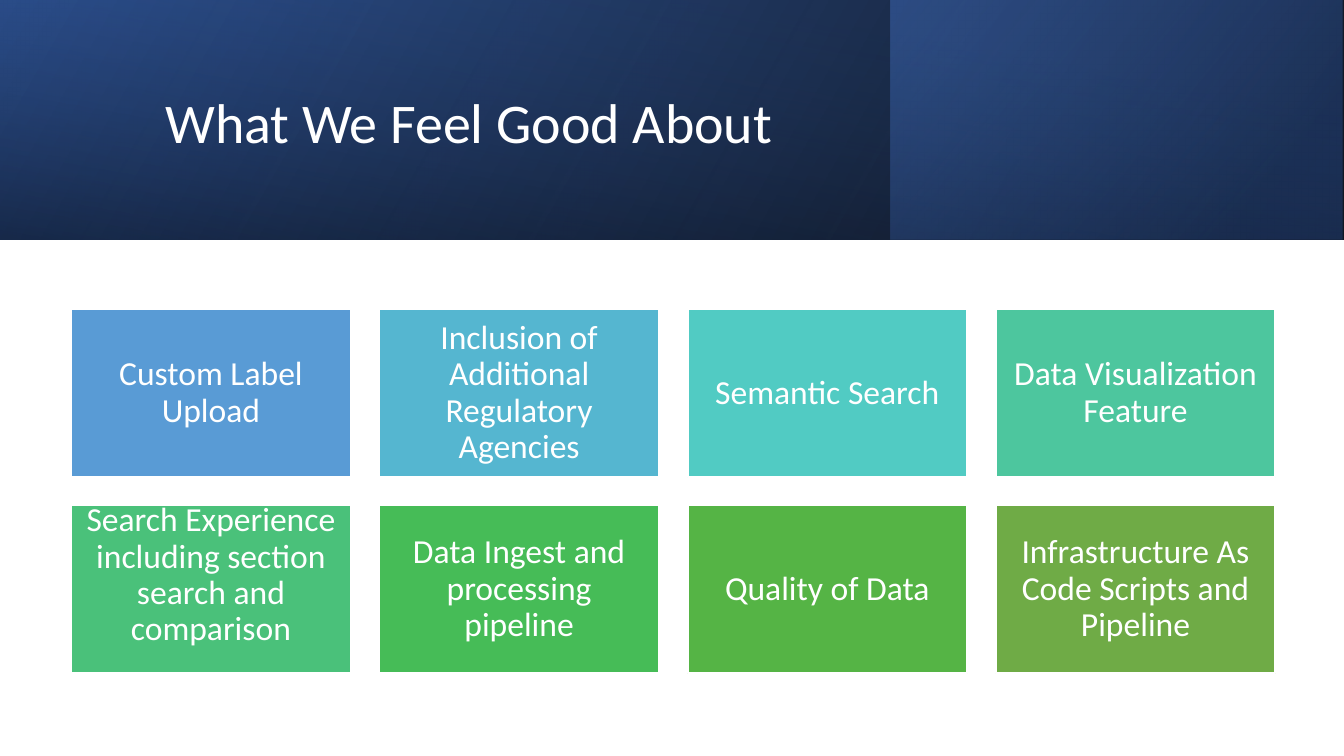
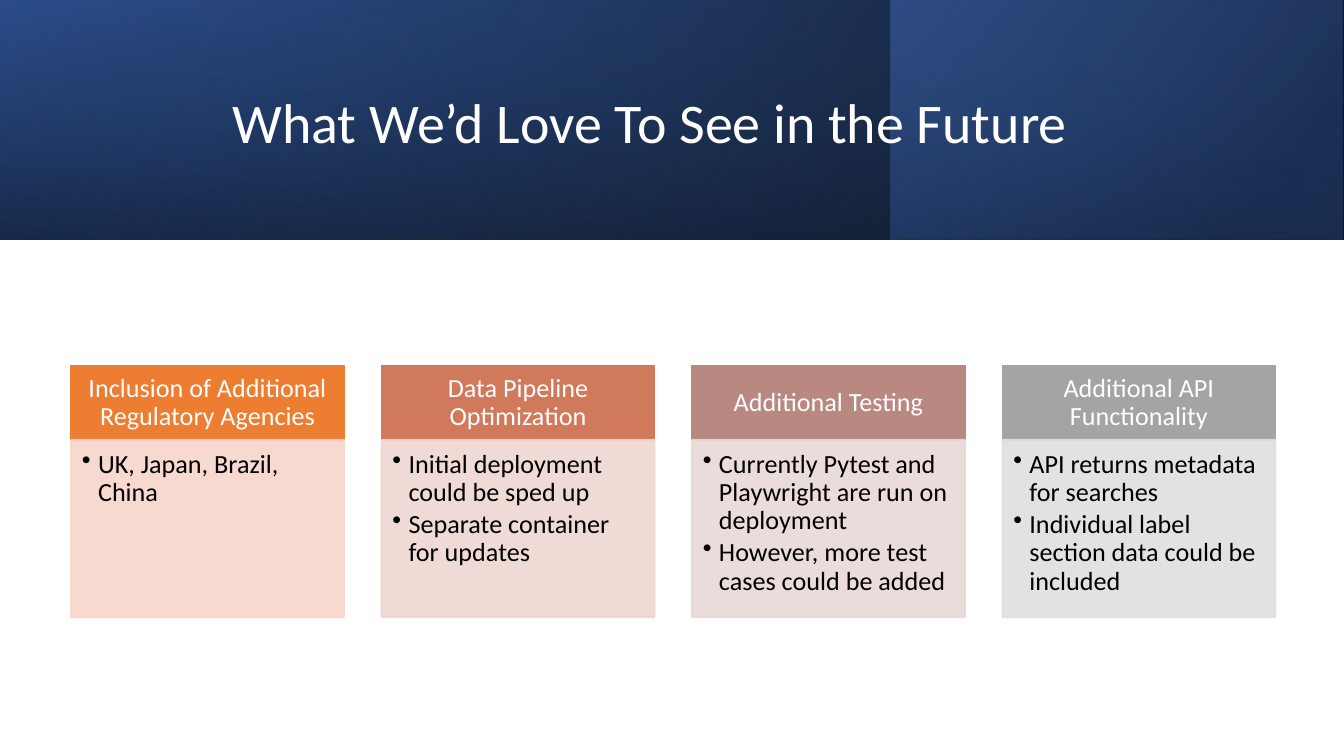
from lxml import etree
from pptx import Presentation
from pptx import util as u
from pptx.dml.color import RGBColor
from pptx.enum import shapes, text
from pptx.oxml import parse_xml
from pptx.oxml.ns import nsdecls, qn

HUES = {
    "white": "FFFFFF", "black": "000000", "blue": "2F5496",
    "navy": "1F3864", "sky": "4472C4",
}
BANDS = [
    ((0, 0, 100, 31.64), 0, 330, [(0, "black", 96), (100, "blue", 100)]),
    ((66.3, 0, 33.6, 31.64), 0, 320,
     [(0, "navy", 68), (19, "navy", 68), (100, "sky", 48)]),
    ((41.1, -73.07, 17.8, 177.78), 270, 350,
     [(0, "blue", 16), (23, "blue", 16), (99, "black", 45), (100, "black", 45)]),
]
TILES = [
    ("Custom Label Upload", "599BD5"),
    ("Inclusion of Additional Regulatory Agencies", "55B6D0"),
    ("Semantic Search", "51CBC3"),
    ("Data Visualization Feature", "4DC69E"),
    ("Search Experience including section search and comparison", "4AC17A"),
    ("Data Ingest and processing pipeline", "46BC57"),
    ("Quality of Data", "55B445"),
    ("Infrastructure As Code Scripts and Pipeline", "6FAB46"),
]
CARDS = [
    ("Inclusion of Additional Regulatory Agencies", "ED7D31", "F7D5CB",
     ["UK, Japan, Brazil, China"]),
    ("Data Pipeline Optimization", "D07A5B", "EFD6D1",
     ["Initial deployment could be sped up", "Separate container for updates"]),
    ("Additional Testing", "B88881", "E8D9D7",
     ["Currently Pytest and Playwright are run on deployment",
      "However, more test cases could be added"]),
    ("Additional API Functionality", "A4A4A4", "DFDFDF",
     ["API returns metadata for searches",
      "Individual label section data could be included"]),
]


class Deck:
    """Holds the style and the current slide; places are percent of the slide."""

    font = "Calibri"

    def __init__(self):
        self.prs = Presentation()
        self.prs.slide_width = u.Inches(10)
        self.prs.slide_height = u.Inches(5.625)
        self.slide = None

    def place(self, x, y, w, h):
        wide, high = self.prs.slide_width, self.prs.slide_height
        return [int(v * side / 100)
                for v, side in ((x, wide), (y, high), (w, wide), (h, high))]

    def rect(self, spot):
        shape = self.slide.shapes.add_shape(
            shapes.MSO_SHAPE.RECTANGLE, *self.place(*spot))
        shape.shadow.inherit = False
        return shape

    def band(self, spot, turn, angle, stops):
        shape = self.rect(spot)
        shape.rotation = turn
        shape.line.fill.background()
        props = shape.element.spPr
        props.find(qn("a:xfrm")).set("flipH", "1")
        marks = "".join(
            f'<a:gs pos="{pos * 1000}"><a:srgbClr val="{HUES[hue]}">'
            f'<a:alpha val="{alpha * 1000}"/></a:srgbClr></a:gs>'
            for pos, hue, alpha in stops)
        props.find(qn("a:prstGeom")).addnext(parse_xml(
            f'<a:gradFill {nsdecls("a")} rotWithShape="1"><a:gsLst>{marks}</a:gsLst>'
            f'<a:lin ang="{angle * 60000}" scaled="0"/></a:gradFill>'))

    def page(self, title, indent=0):
        self.slide = self.prs.slides.add_slide(self.prs.slide_layouts[5])
        for band in BANDS:
            self.band(*band)
        head = self.slide.shapes.title
        self.slide.shapes.element.append(head.element)
        head.left, head.top, head.width, head.height = self.place(
            11.3, 5.16, 79.7, 22.93)
        self.label(head, [title], 30, "white", (0.1, 0.05, 0.1, 0.05),
                   text.PP_ALIGN.LEFT)
        props = head.text_frame.paragraphs[0]._p.get_or_add_pPr()
        props.set("marL", str(u.Inches(indent)))

    def label(self, shape, lines, size, hue, pads, align, dots=False):
        frame = shape.text_frame
        frame.word_wrap = True
        frame.auto_size = text.MSO_AUTO_SIZE.NONE
        frame.vertical_anchor = (
            text.MSO_ANCHOR.TOP if dots else text.MSO_ANCHOR.MIDDLE)
        (frame.margin_left, frame.margin_top,
         frame.margin_right, frame.margin_bottom) = map(u.Inches, pads)
        for i, line in enumerate(lines):
            para = frame.add_paragraph() if i else frame.paragraphs[0]
            para.text = line
            if dots:
                self.bullet(para, hue)
                if i:
                    para.space_before = u.Pt(2.1)
            para.alignment = align
            para.line_spacing = 0.9
            para.font.name = self.font
            para.font.size = u.Pt(size)
            para.font.color.rgb = RGBColor.from_string(HUES[hue])

    def bullet(self, para, hue):
        props = para._p.get_or_add_pPr()
        props.set("marL", str(u.Inches(0.12)))
        props.set("indent", str(-u.Inches(0.12)))
        tint = etree.SubElement(props, qn("a:buClr"))
        etree.SubElement(tint, qn("a:srgbClr"), val=HUES[hue])
        etree.SubElement(props, qn("a:buChar"), char="•")

    def box(self, spot, fill, line, alpha=100):
        shape = self.rect(spot)
        shape.fill.solid()
        shape.fill.fore_color.rgb = RGBColor.from_string(fill)
        shape.line.color.rgb = RGBColor.from_string(line)
        shape.line.width = u.Pt(1)
        if alpha < 100:
            for tint in shape.element.spPr.iter(qn("a:srgbClr")):
                etree.SubElement(tint, qn("a:alpha"), val=str(alpha * 1000))
        return shape

    def tile(self, spot, name, fill, foot=0.07):
        shape = self.box(spot, fill, HUES["white"])
        self.label(shape, [name], 18, "white", (0.07, 0.07, 0.07, foot),
                   text.PP_ALIGN.CENTER)

    def card(self, x, name, dark, pale, points):
        head = self.box((x, 48.36, 20.3, 9.87), dark, dark)
        self.label(head, [name], 14, "white", (0.11, 0.06, 0.11, 0.06),
                   text.PP_ALIGN.CENTER)
        body = self.box((x, 58.18, 20.3, 23.47), pale, pale, 90)
        self.label(body, points, 14, "black", (0.08, 0.08, 0.11, 0.12),
                   text.PP_ALIGN.LEFT, True)


def main():
    deck = Deck()
    deck.page("What We Feel Good About")
    for i, (name, fill) in enumerate(TILES):
        row, col = divmod(i, 4)
        spot = (5.3 + 22.93 * col, 40.89 + 25.96 * row, 20.8, 22.22)
        deck.tile(spot, name, fill, 0.28 if i == 4 else 0.07)
    deck.page("What We’d Love To See in the Future", 0.5)
    for col, card in enumerate(CARDS):
        deck.card(5.3 + 23.1 * col, *card)
    deck.prs.save("out.pptx")


if __name__ == "__main__":
    main()
